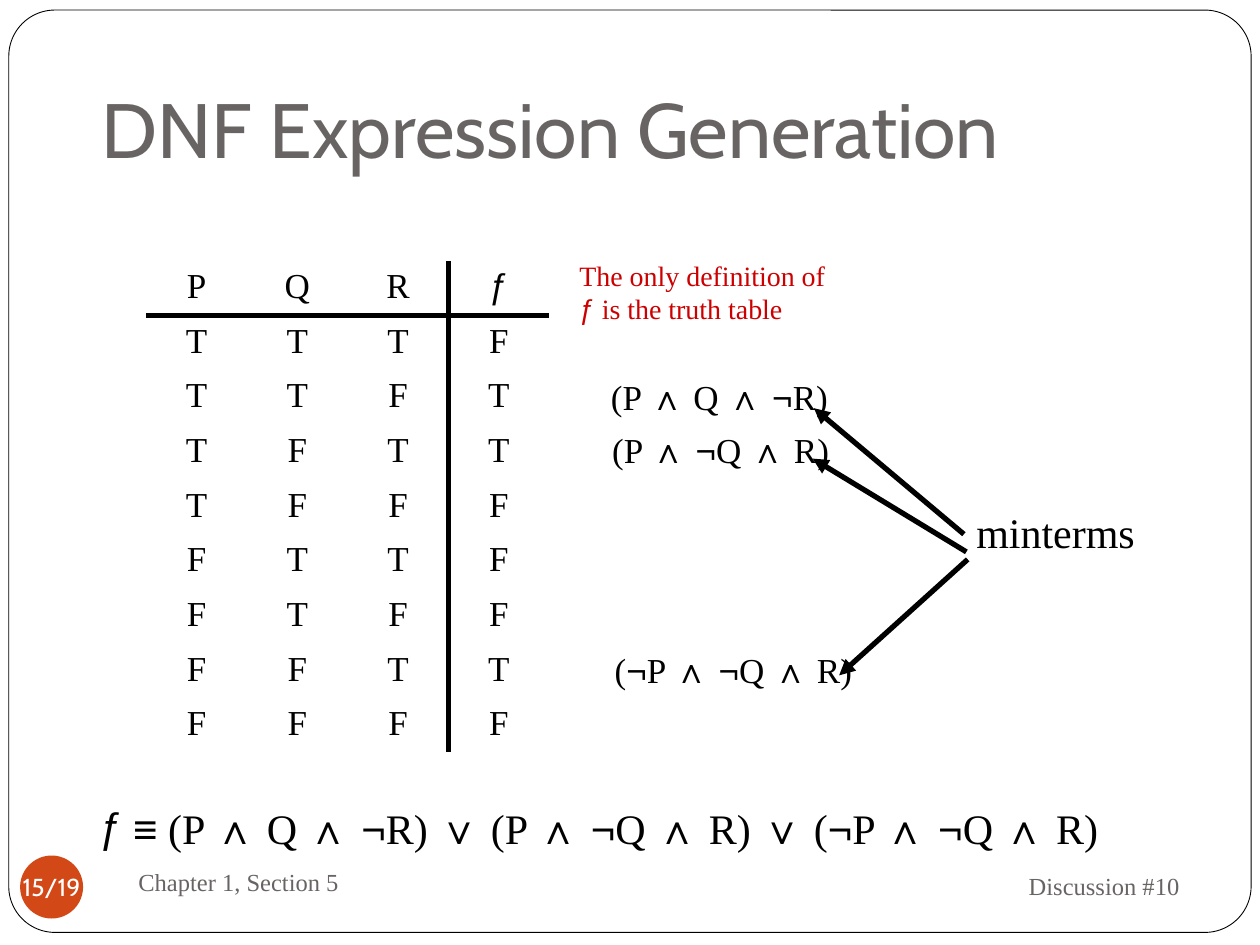
"""Builds the slide that derives a DNF expression from a truth table."""
import dataclasses
import itertools

import pptx
import pptx.dml.color
import pptx.enum.shapes
import pptx.enum.text
import pptx.oxml
import pptx.oxml.ns
import pptx.util
from pptx.util import Inches

ALIGN = pptx.enum.text.PP_ALIGN
ANCHOR = pptx.enum.text.MSO_ANCHOR
SHAPE = pptx.enum.shapes.MSO_SHAPE


@dataclasses.dataclass(frozen=True)
class Theme:
    """Holds the colours, fonts and type sizes of the slide."""
    ink: str = "000000"
    paper: str = "FFFFFF"
    muted: str = "696464"
    accent: str = "D34817"
    note: str = "CC0000"
    heading_font: str = "Cabin"
    body_font: str = "Times New Roman"
    symbol_font: str = "Arial"
    title_size: int = 44
    large_size: int = 24
    body_size: int = 20
    note_size: int = 16
    footer_size: int = 14
    rule_width: float = 3
    frame_width: float = 0.5


THEME = Theme()
TABLE_LEFT, TABLE_TOP = 1.16, 2.07
COLUMN_WIDTH, TABLE_HEIGHT = 0.8, 3.9
TRUE_ROWS = ("TTF", "TFT", "FFT")
MINTERMS = (
    ("(P |∧| Q |∧ ¬|R)", 4.75, 2.93, 2.22),
    ("(P |∧ ¬|Q |∧| R)", 4.76, 3.35, 2.22),
    ("(|¬|P |∧ ¬|Q |∧| R)", 4.78, 5.1, 2.56),
)
ARROWS = (
    ((7.65, 4.24), (6.46, 3.24)),
    ((7.67, 4.38), (6.45, 3.64)),
    ((7.68, 4.44), (6.66, 5.36)),
)


def rgb(value):
    """Turns a hex string into a colour."""
    return pptx.dml.color.RGBColor.from_string(value)


def xml(tag, **attributes):
    """Makes a drawing element with the given attributes."""
    element = pptx.oxml.parse_xml(f"<a:{tag} {pptx.oxml.ns.nsdecls('a')}/>")
    for name, value in attributes.items():
        element.set(name, value)
    return element


def write_text(frame, text, *, size=THEME.body_size, color=THEME.ink,
               font=THEME.body_font, align=ALIGN.LEFT, before=0):
    """Writes one paragraph; every second part between bars uses the symbol font."""
    paragraph = frame.paragraphs[0]
    paragraph.alignment = align
    paragraph.space_before = pptx.util.Pt(before)
    for index, part in enumerate(text.split("|")):
        if part:
            run = paragraph.add_run()
            run.text = part
            run.font.size = pptx.util.Pt(size)
            run.font.name = THEME.symbol_font if index % 2 else font
            run.font.color.rgb = rgb(color)
    return paragraph


def add_text(slide, text, left, top, width, height, *, anchor=ANCHOR.TOP,
             bottom=0.05, **text_format):
    """Adds a wrapping text box and returns its paragraph."""
    box = slide.shapes.add_textbox(
        Inches(left), Inches(top), Inches(width), Inches(height))
    frame = box.text_frame
    frame.word_wrap = True
    frame.vertical_anchor = anchor
    frame.margin_bottom = Inches(bottom)
    return write_text(frame, text, **text_format)


def add_shape(slide, kind, left, top, width, height, fill):
    """Adds a flat filled shape without an outline."""
    shape = slide.shapes.add_shape(
        kind, Inches(left), Inches(top), Inches(width), Inches(height))
    shape.shadow.inherit = False
    shape.fill.solid()
    shape.fill.fore_color.rgb = rgb(fill)
    shape.line.fill.background()
    return shape


def add_line(slide, start, end, arrow=False):
    """Adds a thick straight line, with an arrowhead at its end if asked."""
    line = slide.shapes.add_connector(
        pptx.enum.shapes.MSO_CONNECTOR.STRAIGHT, *map(Inches, start + end))
    line.line.color.rgb = rgb(THEME.ink)
    line.line.width = pptx.util.Pt(THEME.rule_width)
    if arrow:
        line.line._get_or_add_ln().append(xml("tailEnd", type="triangle"))
    line._element.spPr.append(xml("effectLst"))


def add_frame(slide):
    """Adds the rounded border around the slide."""
    border = add_shape(slide, SHAPE.ROUNDED_RECTANGLE, 0.07, 0.08, 9.86, 7.32, THEME.paper)
    border.adjustments[0] = 0.05
    border.line.color.rgb = rgb(THEME.ink)
    border.line.width = pptx.util.Pt(THEME.frame_width)


def add_footer(slide):
    """Adds the footer texts and the page badge."""
    footer = dict(anchor=ANCHOR.MIDDLE, size=THEME.footer_size, color=THEME.muted)
    add_text(slide, "Discussion #10", 6.75, 6.77, 2.71, 0.52, align=ALIGN.RIGHT, **footer)
    add_text(slide, "Chapter 1, Section 5", 1, 6.75, 4.33, 0.5, **footer)
    frame = add_shape(slide, SHAPE.OVAL, 0.16, 6.79, 0.5, 0.5, THEME.accent).text_frame
    frame.margin_left = frame.margin_right = frame.margin_top = frame.margin_bottom = 0
    frame.word_wrap = False
    frame.vertical_anchor = ANCHOR.MIDDLE
    write_text(frame, "15/19", size=THEME.footer_size, color=THEME.paper,
               font=THEME.heading_font, align=ALIGN.CENTER)


def add_truth_table(slide):
    """Adds the truth table of f with its two rules."""
    rows = [("P", "Q", "R", "|ƒ")]
    for values in itertools.product("TF", repeat=3):
        rows.append((*values, "T" if "".join(values) in TRUE_ROWS else "F"))
    width = COLUMN_WIDTH * len(rows[0])
    table = slide.shapes.add_table(
        len(rows), len(rows[0]), Inches(TABLE_LEFT), Inches(TABLE_TOP),
        Inches(width), Inches(TABLE_HEIGHT)).table
    table.first_row = table.horz_banding = False
    for cell, text in zip(table.iter_cells(), itertools.chain.from_iterable(rows)):
        cell.fill.background()
        write_text(cell.text_frame, text, align=ALIGN.CENTER)
    header_bottom = TABLE_TOP + TABLE_HEIGHT / len(rows)
    result_left = TABLE_LEFT + 3 * COLUMN_WIDTH
    add_line(slide, (TABLE_LEFT, header_bottom), (TABLE_LEFT + width, header_bottom))
    add_line(slide, (result_left, TABLE_TOP), (result_left, TABLE_TOP + TABLE_HEIGHT))


def add_expression(slide):
    """Adds the full expression, led by a function sign as its bullet."""
    terms = " |∨| ".join(term for term, *_ in MINTERMS)
    paragraph = add_text(slide, f" |≡| {terms}", 0.69, 6.32, 8.83, 0.5,
                         size=THEME.large_size, before=15)
    properties = paragraph._p.get_or_add_pPr()
    bullet_color = xml("buClr")
    bullet_color.append(xml("srgbClr", val=THEME.ink))
    properties.extend((bullet_color, xml("buFont", typeface=THEME.symbol_font),
                       xml("buChar", char="ƒ")))


def main():
    """Builds and saves the slide."""
    presentation = pptx.Presentation()
    presentation.slide_width, presentation.slide_height = Inches(10), Inches(7.5)
    slide = presentation.slides.add_slide(presentation.slide_layouts[6])
    add_frame(slide)
    add_text(slide, "DNF Expression Generation", 0.71, 0.23, 8.5, 1.25,
             anchor=ANCHOR.BOTTOM, bottom=0.1, size=THEME.title_size,
             color=THEME.muted, font=THEME.heading_font)
    add_footer(slide)
    add_truth_table(slide)
    for term, left, top, width in MINTERMS:
        add_text(slide, term, left, top, width, 0.44, before=12.5)
    add_expression(slide)
    add_text(slide, "minterms", 7.65, 3.97, 1.7, 0.5, size=THEME.large_size, before=15)
    for start, end in ARROWS:
        add_line(slide, start, end, arrow=True)
    add_text(slide, "The only definition of |ƒ| is the truth table", 4.5, 2, 2.26, 0.64,
             size=THEME.note_size, color=THEME.note, before=10)
    presentation.save("out.pptx")


if __name__ == "__main__":
    main()
